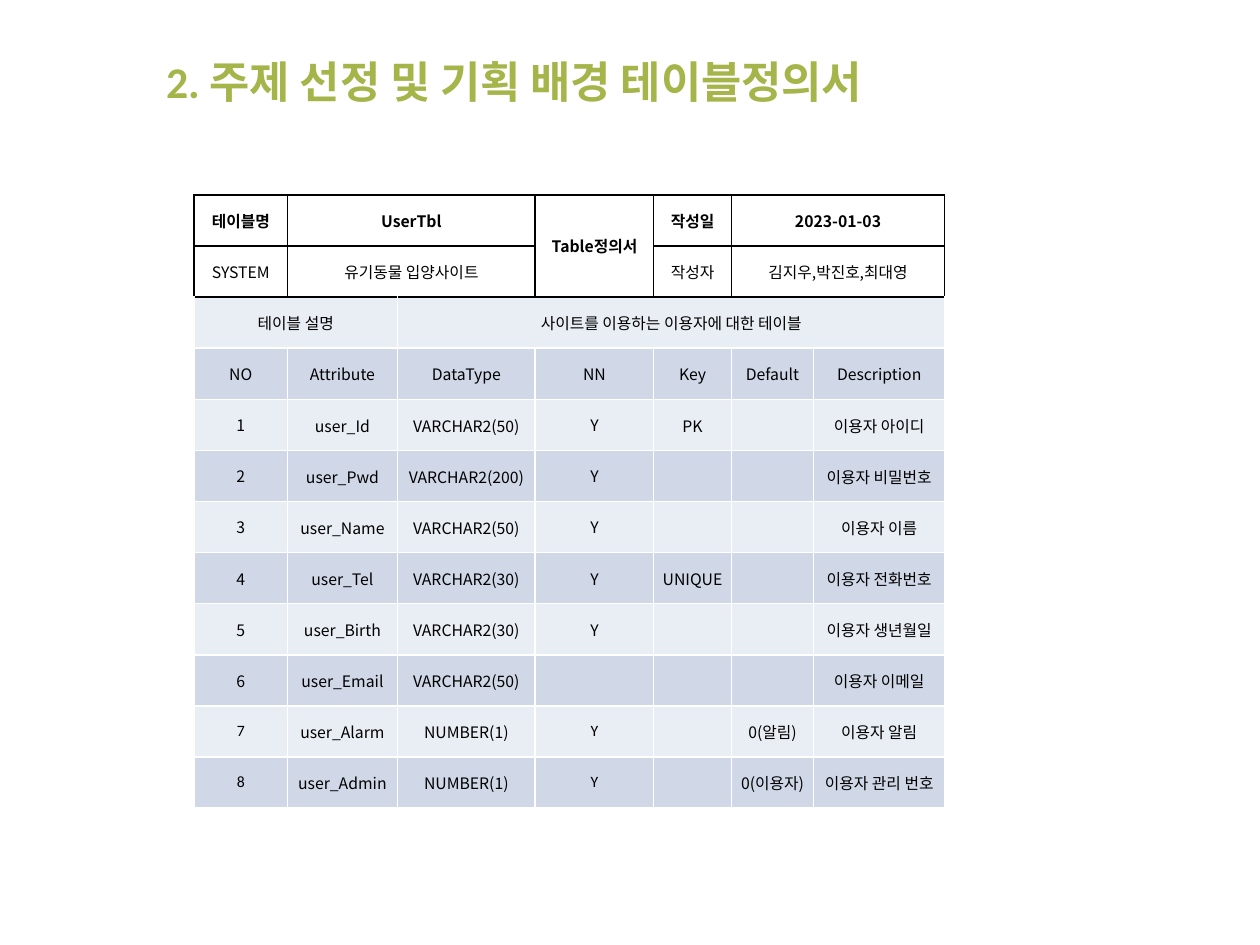
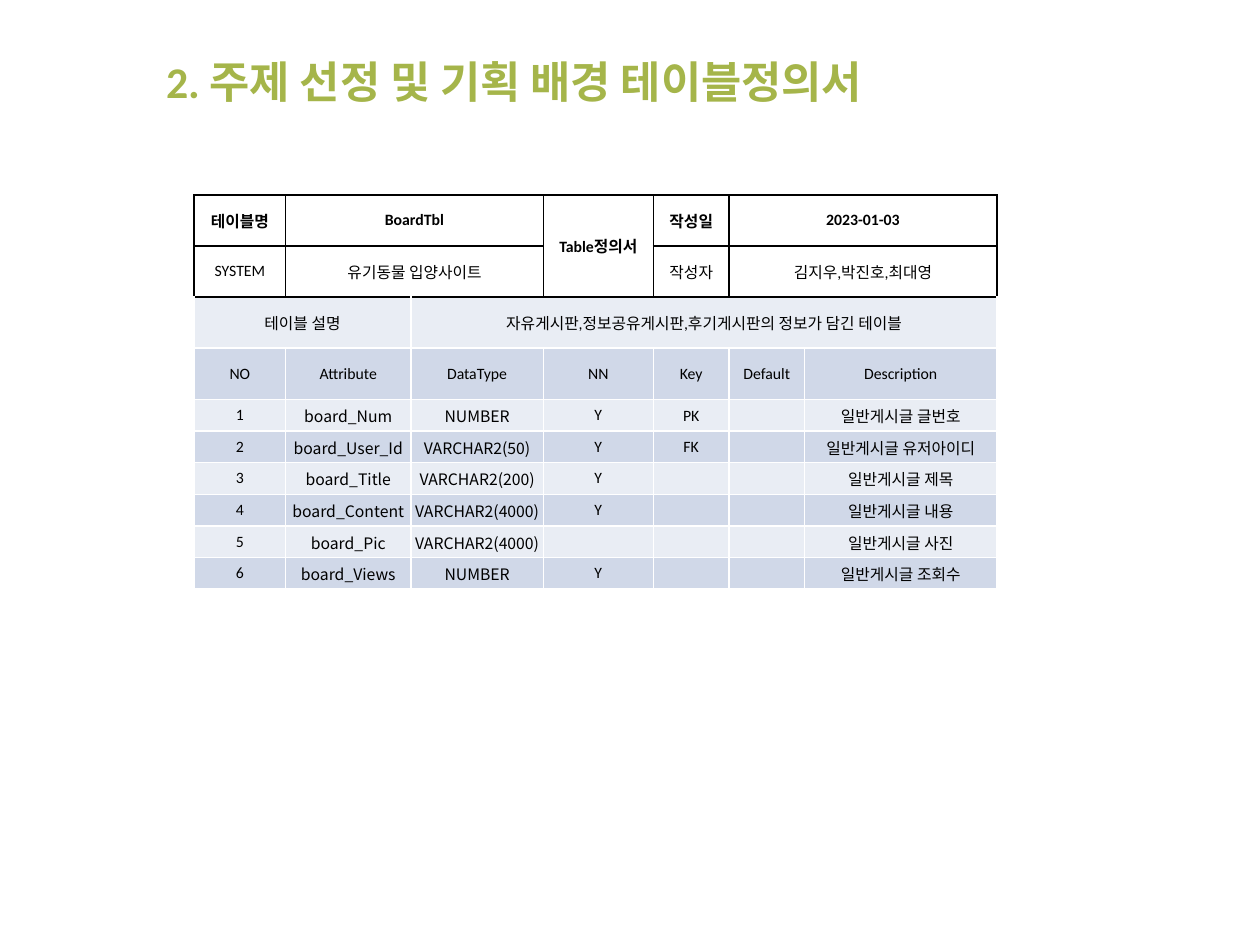
from dataclasses import dataclass

from lxml.etree import SubElement
from pptx import Presentation
from pptx.dml.color import RGBColor as RGB
from pptx.enum.text import MSO_ANCHOR as Anchor, PP_ALIGN as Align
from pptx.oxml.ns import qn
from pptx.util import Pt

COLORS = {
    "title": "A5B54A",
    "ink": "000000",
    "line": "FFFFFF",
    "light": "E9EDF4",
    "dark": "D0D8E8",
}
SANS = "Calibri"
NOTO = "Noto Sans CJK KR"
TITLE = "2. 주제 선정 및 기획 배경 테이블정의서"
LEFT, TOP = 110.9, 111.4
TALL = 29.2
SIZE = 9
HEAD_ROWS = 2   # outlined rows above the banded ones
DATA_ROW = 4    # first attribute row
TIGHT = {1, 2, 4, 5, 6}  # data columns with narrow margins
LABELS = ("NO", "Attribute", "DataType", "NN", "Key", "Default", "Description")
# first row, first column, last row, last column
MERGES = [
    (0, 1, 0, 2), (0, 3, 1, 3), (0, 5, 0, 6), (1, 1, 1, 2),
    (1, 5, 1, 6), (2, 0, 2, 1), (2, 2, 2, 6),
]


@dataclass
class Sheet:
    name: str
    about: str
    cols: list[float]
    step: float           # height of a data row
    rows: list[tuple[str, ...]]  # attribute, type, NN, key, default, description
    font: str
    alt: str              # second font, used from alt_row on in alt_cols
    alt_row: int
    alt_cols: set[int]

    def face(self, row: int, col: int) -> str:
        return self.alt if row >= self.alt_row and col in self.alt_cols else self.font

    def grid(self) -> list[tuple[str, ...]]:
        return [
            ("테이블명", self.name, "", "Table정의서", "작성일", "2023-01-03", ""),
            ("SYSTEM", "유기동물 입양사이트", "", "", "작성자", "김지우,박진호,최대영", ""),
            ("테이블 설명", "", self.about, "", "", "", ""),
            LABELS,
            *((str(num), *row) for num, row in enumerate(self.rows, 1)),
        ]


SHEETS = [
    Sheet(
        "UserTbl", "사이트를 이용하는 이용자에 대한 테이블",
        [53.4, 62.8, 78.8, 67.7, 44.4, 47, 74.9], TALL,
        [
            ("user_Id", "VARCHAR2(50)", "Y", "PK", "", "이용자 아이디"),
            ("user_Pwd", "VARCHAR2(200)", "Y", "", "", "이용자 비밀번호"),
            ("user_Name", "VARCHAR2(50)", "Y", "", "", "이용자 이름"),
            ("user_Tel", "VARCHAR2(30)", "Y", "UNIQUE", "", "이용자 전화번호"),
            ("user_Birth", "VARCHAR2(30)", "Y", "", "", "이용자 생년월일"),
            ("user_Email", "VARCHAR2(50)", "", "", "", "이용자 이메일"),
            ("user_Alarm", "NUMBER(1)", "Y", "", "0(알림)", "이용자 알림"),
            ("user_Admin", "NUMBER(1)", "Y", "", "0(이용자)", "이용자 관리 번호"),
        ],
        NOTO, SANS, 10, {0, 3},
    ),
    Sheet(
        "BoardTbl", "자유게시판,정보공유게시판,후기게시판의 정보가 담긴 테이블",
        [52.3, 71.6, 75.7, 62.9, 43.3, 43.1, 109.9], 18.1,
        [
            ("board_Num", "NUMBER", "Y", "PK", "", "일반게시글 글번호"),
            ("board_User_Id", "VARCHAR2(50)", "Y", "FK", "", "일반게시글 유저아이디"),
            ("board_Title", "VARCHAR2(200)", "Y", "", "", "일반게시글 제목"),
            ("board_Content", "VARCHAR2(4000)", "Y", "", "", "일반게시글 내용"),
            ("board_Pic", "VARCHAR2(4000)", "", "", "", "일반게시글 사진"),
            ("board_Views", "NUMBER", "Y", "", "", "일반게시글 조회수"),
        ],
        SANS, NOTO, DATA_ROW, {1, 2, 6},
    ),
]


def color(key: str) -> RGB:
    return RGB.from_string(COLORS[key])


def style(run, face: str, size: float, ink: str, bold: bool) -> None:
    font = run.font
    font.name, font.size, font.bold = face, Pt(size), bold
    font.color.rgb = color(ink)
    SubElement(font._element, qn("a:ea"), typeface=NOTO)


def add_title(slide) -> None:
    box = slide.shapes.add_textbox(Pt(87.8), Pt(18), Pt(596.2), Pt(56.9))
    frame = box.text_frame
    frame.word_wrap = True
    frame.vertical_anchor = Anchor.MIDDLE
    frame.text = TITLE
    style(frame.paragraphs[0].runs[0], SANS, 25, "title", True)


def set_edges(cell, row: int) -> None:
    props = cell._tc.get_or_add_tcPr()
    for side in "LRTB":
        black = row < HEAD_ROWS or (row == HEAD_ROWS and side == "T")
        line = SubElement(props, qn(f"a:ln{side}"), w=str(Pt(1)))
        fill = SubElement(line, qn("a:solidFill"))
        SubElement(fill, qn("a:srgbClr"), val=COLORS["ink" if black else "line"])


def set_fill(cell, row: int) -> None:
    if row < HEAD_ROWS:
        cell.fill.background()
    else:
        cell.fill.solid()
        cell.fill.fore_color.rgb = color("dark" if row % 2 else "light")


def set_text(cell, text: str, face: str, bold: bool) -> None:
    cell.vertical_anchor = Anchor.MIDDLE
    cell.text_frame.text = text
    para = cell.text_frame.paragraphs[0]
    para.alignment = Align.CENTER
    for run in para.runs:
        style(run, face, SIZE, "ink", bold)
    if not text:
        # An empty cell keeps the small size, so its row stays low
        end = SubElement(para._p, qn("a:endParaRPr"), sz=str(SIZE * 100))
        SubElement(end, qn("a:latin"), typeface=SANS)
        SubElement(end, qn("a:ea"), typeface=SANS)


def add_sheet(slide, sheet: Sheet) -> None:
    grid = sheet.grid()
    highs = [TALL if row < DATA_ROW else sheet.step for row in range(len(grid))]
    table = slide.shapes.add_table(
        len(grid), len(LABELS), Pt(LEFT), Pt(TOP), Pt(sum(sheet.cols)), Pt(sum(highs))
    ).table
    table.first_row = table.horz_banding = False
    for col, width in zip(table.columns, sheet.cols):
        col.width = Pt(width)
    for row, high in zip(table.rows, highs):
        row.height = Pt(high)

    for row, texts in enumerate(grid):
        for col, text in enumerate(texts):
            cell = table.cell(row, col)
            set_edges(cell, row)
            set_fill(cell, row)
            set_text(cell, text, sheet.face(row, col), row == 0)
            if row >= DATA_ROW and col in TIGHT:
                cell.margin_left = cell.margin_right = cell.margin_top = Pt(0.7)
                cell.margin_bottom = Pt(0)
    for top, left, low, right in MERGES:
        table.cell(top, left).merge(table.cell(low, right))


def main() -> None:
    deck = Presentation()
    deck.slide_width, deck.slide_height = Pt(720), Pt(540)
    for sheet in SHEETS:
        slide = deck.slides.add_slide(deck.slide_layouts[6])
        add_title(slide)
        add_sheet(slide, sheet)
    deck.save("out.pptx")


if __name__ == "__main__":
    main()
